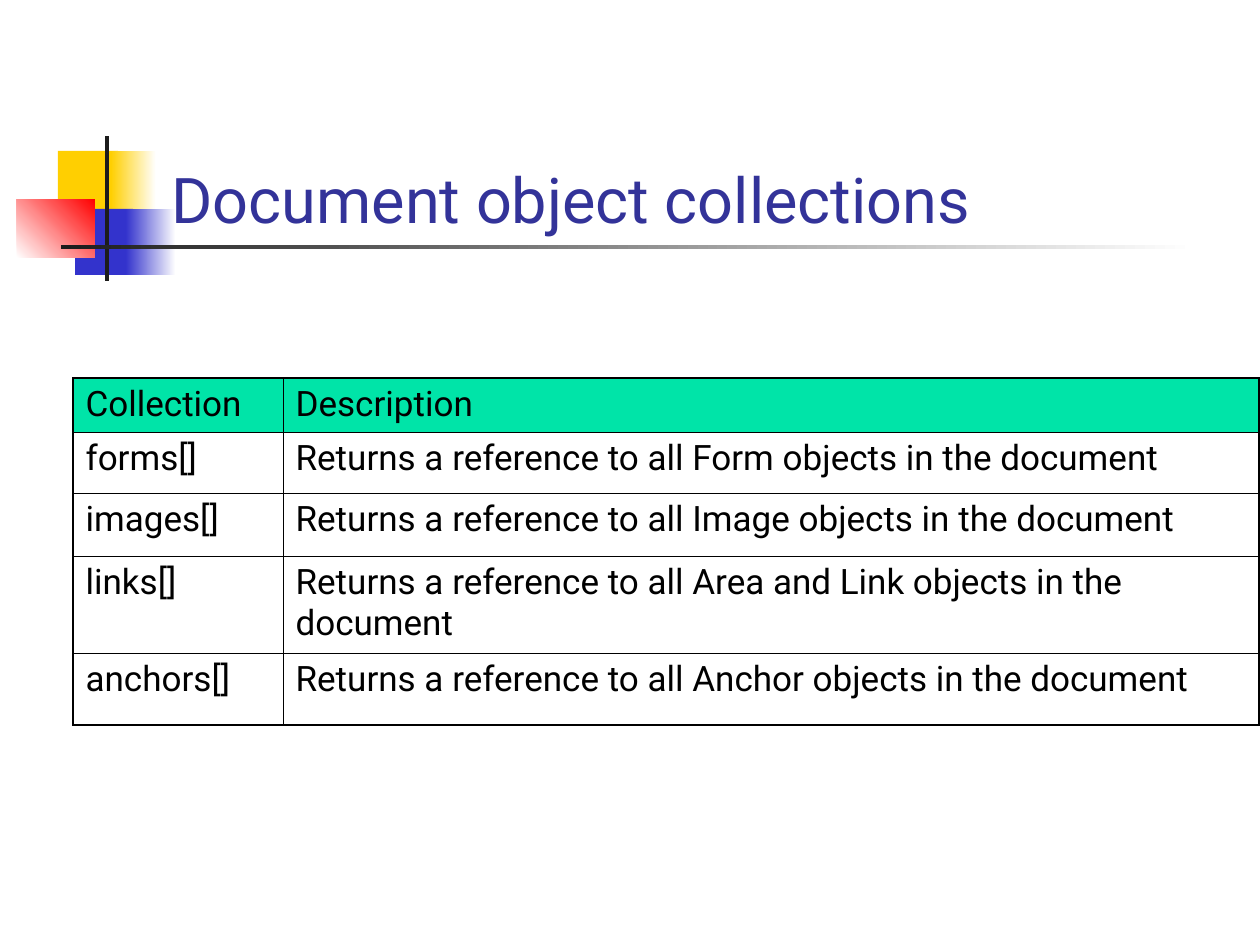
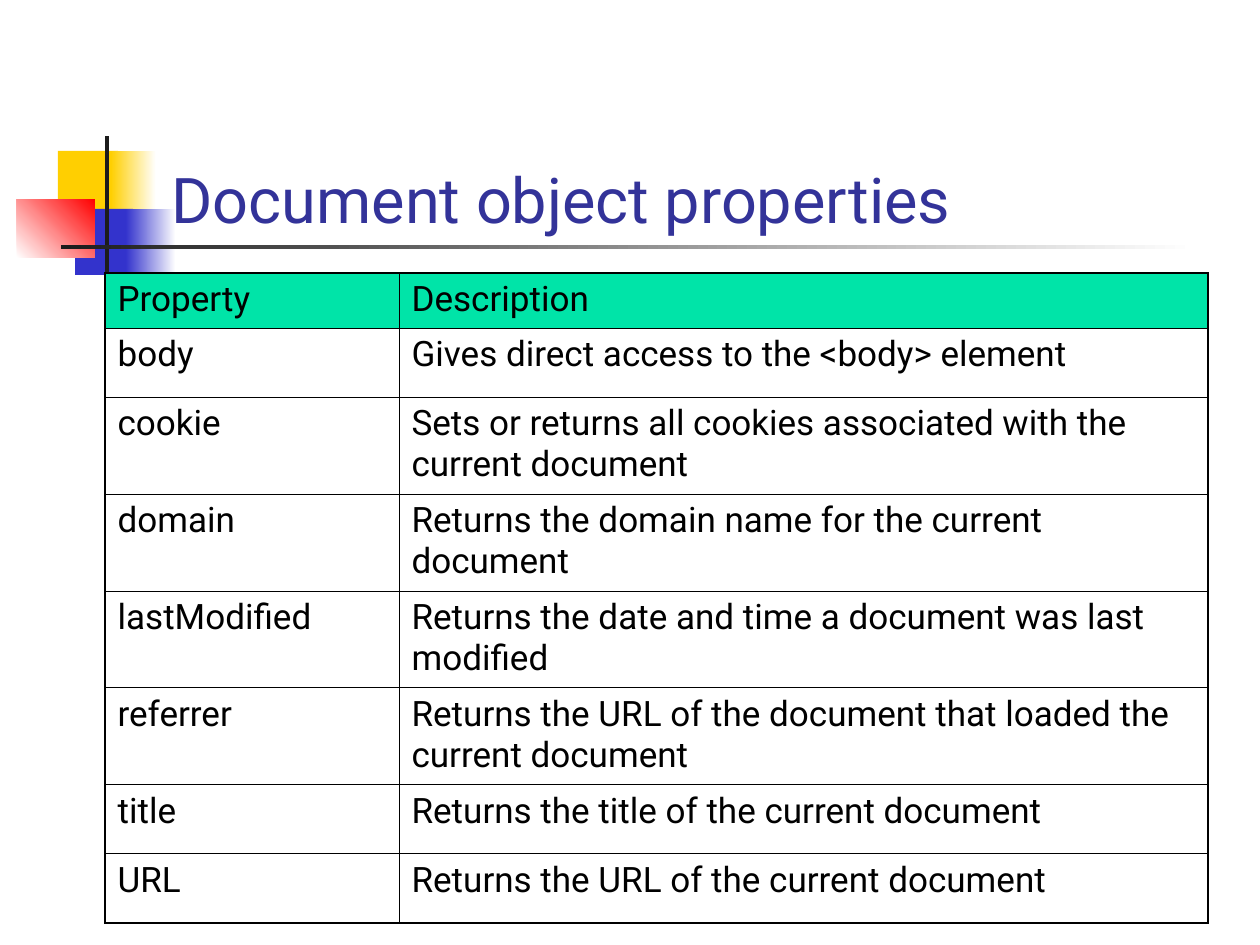
import pptx
import pptx.util
import pptx.dml.color
import pptx.enum.shapes
import pptx.enum.text
import pptx.oxml
import pptx.oxml.ns

RGB = pptx.dml.color.RGBColor
Pt = pptx.util.Pt

GOLD = RGB(0xFF, 0xCF, 0x01)
BLUE = RGB(0x33, 0x33, 0xCC)
RED = RGB(0xFF, 0x00, 0x00)
DARK = RGB(0x1C, 0x1C, 0x1C)
NAVY = RGB(0x33, 0x33, 0x99)
MINT = RGB(0x00, 0xE4, 0xA8)
WHITE = RGB(0xFF, 0xFF, 0xFF)
BLACK = RGB(0x00, 0x00, 0x00)
FONT = "Roboto"
THICK, THIN = 1.08, 0.45

SLIDES = [
    {
        "title": "Document object collections",
        "at": (73, 378),
        "cols": (210, 976),
        "heights": (54, 61, 63, 97, 72),
        "rows": [
            ("Collection", "Description"),
            ("forms[]", "Returns a reference to all Form objects in the document"),
            ("images[]", "Returns a reference to all Image objects in the document"),
            ("links[]", "Returns a reference to all Area and Link objects in the document"),
            ("anchors[]", "Returns a reference to all Anchor objects in the document"),
        ],
    },
    {
        "title": "Document object properties",
        "at": (105, 273),
        "cols": (294, 809),
        "heights": (55, 69, 97, 97, 97, 97, 69, 69),
        "rows": [
            ("Property", "Description"),
            ("body", "Gives direct access to the <body> element"),
            ("cookie", "Sets or returns all cookies associated with the current document"),
            ("domain", "Returns the domain name for the current document"),
            ("lastModified", "Returns the date and time a document was last modified"),
            ("referrer", "Returns the URL of the document that loaded the current document"),
            ("title", "Returns the title of the current document"),
            ("URL", "Returns the URL of the current document"),
        ],
    },
]

MOTIF = [
    ((58, 151, 60, 66), (GOLD,), 0),
    ((111, 151, 45, 66), (GOLD, WHITE), 0),
    ((75, 209, 58, 66), (BLUE,), 0),
    ((126, 209, 50, 66), (BLUE, WHITE), 0),
    ((17, 199, 78, 59), (WHITE, RED), 45),
    ((105, 136, 4, 145), (DARK,), 0),
    ((61, 245, 1134, 4), (DARK, WHITE), 0),
]
TITLE = (159, 84, 1074, 158)


def px(num):
    return pptx.util.Emu(round(num * 914400 / 126))


def style(para, size, color):
    for run in para.runs:
        run.font.name = FONT
        run.font.size = Pt(size)
        run.font.color.rgb = color


def add_motif(slide):
    for box, tones, angle in MOTIF:
        shape = slide.shapes.add_shape(
            pptx.enum.shapes.MSO_SHAPE.RECTANGLE, *map(px, box))
        shape.shadow.inherit = False
        shape.line.fill.background()
        if len(tones) == 1:
            shape.fill.solid()
            shape.fill.fore_color.rgb = tones[0]
        else:
            shape.fill.gradient()
            shape.fill.gradient_angle = angle
            for stop, tone in zip(shape.fill.gradient_stops, tones):
                stop.color.rgb = tone


def set_title(slide, text):
    title = slide.shapes.title
    title.left, title.top, title.width, title.height = map(px, TITLE)
    frame = title.text_frame
    frame.text = text
    frame.auto_size = pptx.enum.text.MSO_AUTO_SIZE.NONE
    frame.vertical_anchor = pptx.enum.text.MSO_ANCHOR.BOTTOM
    para = frame.paragraphs[0]
    para.alignment = pptx.enum.text.PP_ALIGN.LEFT
    style(para, 36, NAVY)
    slide.shapes._spTree.append(title._element)


def set_edges(cell, edges):
    props = cell._tc.get_or_add_tcPr()
    for slot, (side, outer) in enumerate(edges):
        width = Pt(THICK if outer else THIN)
        props.insert(slot, pptx.oxml.parse_xml(
            f'<a:ln{side} {pptx.oxml.ns.nsdecls("a")} w="{width}">'
            f'<a:solidFill><a:srgbClr val="{BLACK}"/></a:solidFill></a:ln{side}>'))


def add_grid(slide, page):
    rows, cols, highs = page["rows"], page["cols"], page["heights"]
    box = (*page["at"], sum(cols), sum(highs))
    table = slide.shapes.add_table(len(rows), len(cols), *map(px, box)).table
    table.first_row = table.horz_banding = False
    for col, width in zip(table.columns, cols):
        col.width = px(width)
    for row, height in zip(table.rows, highs):
        row.height = px(height)
    for r, texts in enumerate(rows):
        for c, text in enumerate(texts):
            cell = table.cell(r, c)
            cell.text_frame.text = text
            para = cell.text_frame.paragraphs[0]
            para.space_before = Pt(5)
            style(para, 20, BLACK)
            if r == 0:
                cell.fill.solid()
                cell.fill.fore_color.rgb = MINT
            else:
                cell.fill.background()
            set_edges(cell, (
                ("L", c == 0), ("R", c == len(cols) - 1),
                ("T", r == 0), ("B", r == len(rows) - 1)))


def main():
    deck = pptx.Presentation()
    deck.slide_width, deck.slide_height = px(1260), px(945)
    for page in SLIDES:
        slide = deck.slides.add_slide(deck.slide_layouts[5])
        add_motif(slide)
        set_title(slide, page["title"])
        add_grid(slide, page)
    deck.save("out.pptx")


if __name__ == "__main__":
    main()
